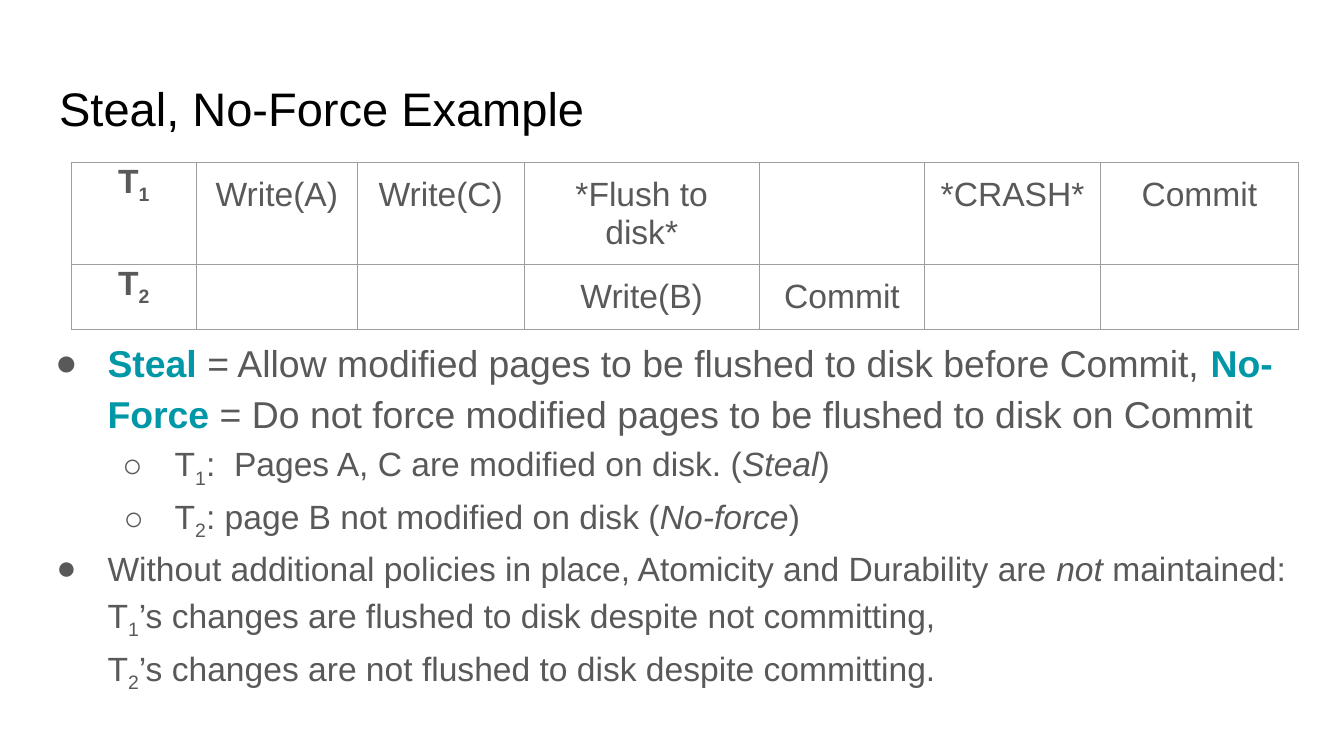
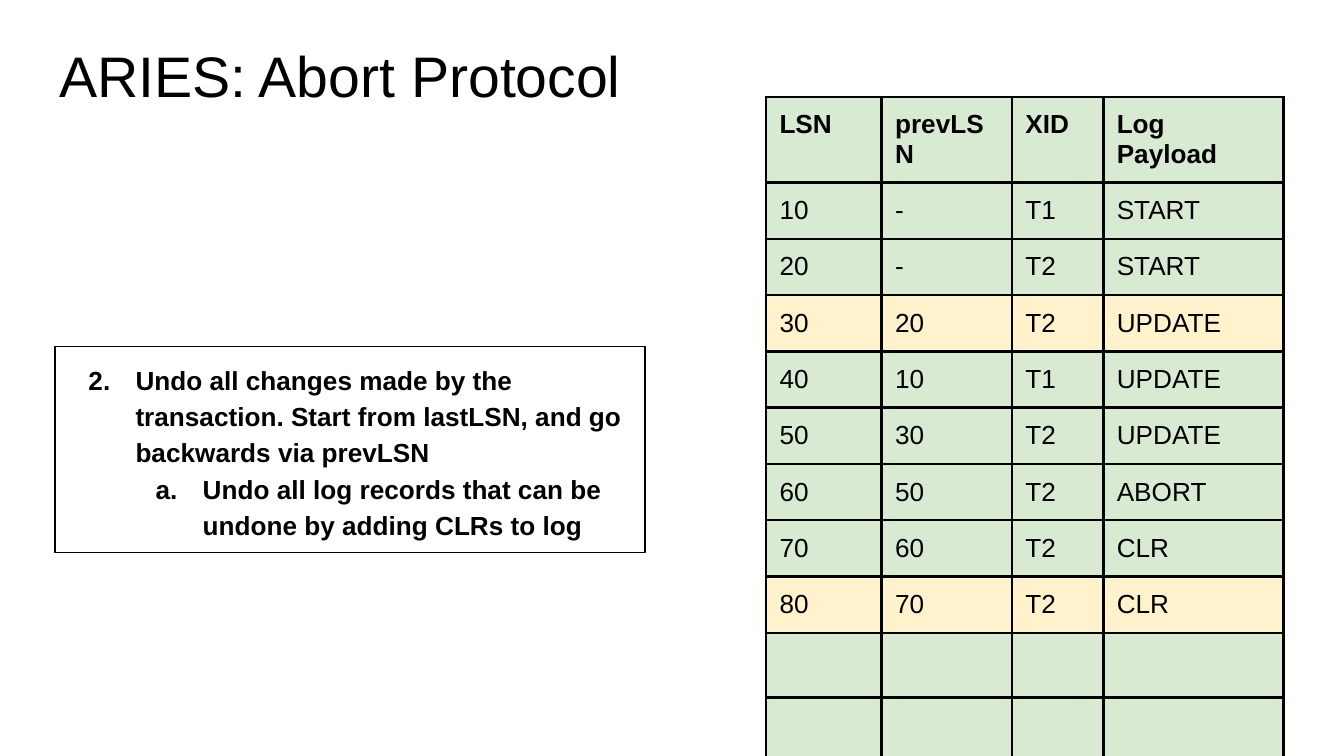
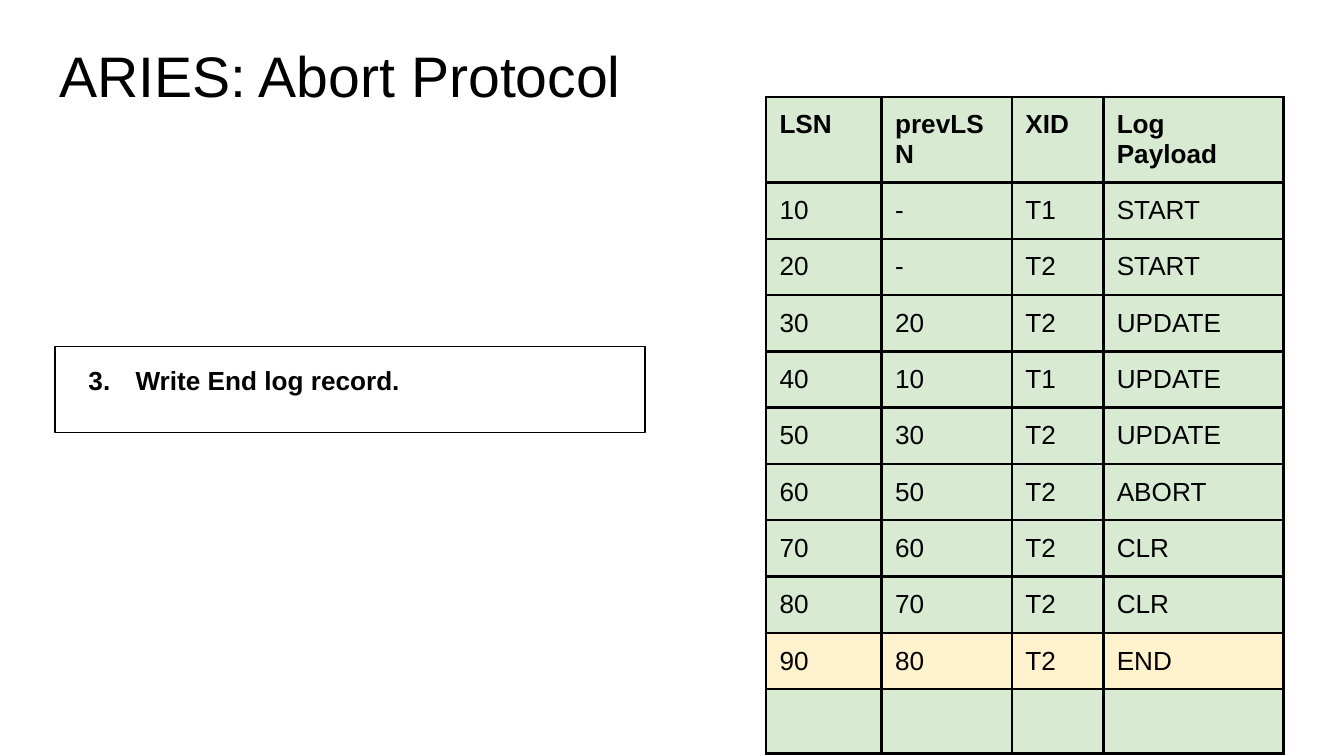
from lxml.etree import SubElement
from pptx import Presentation
from pptx.dml.color import RGBColor
from pptx.enum.shapes import MSO_SHAPE
from pptx.enum.text import MSO_ANCHOR, MSO_AUTO_SIZE, PP_ALIGN
from pptx.oxml.ns import qn
from pptx.util import Inches, Pt

FONT = "Arial"
BLACK, GRAY, TEAL = "000000", "595959", "0097A7"
GREEN, YELLOW, BORDER_GRAY = "D9EAD3", "FFF2CC", "9E9E9E"

PLAIN = {}
BOLD = {"bold": True}
ITALIC = {"italic": True}
SUBSCRIPT = {"baseline": -25000}
KEYWORD = {"bold": True, "color": TEAL}


def write_runs(paragraph, runs, size, color):
    """Add (text, format) runs; a "\\n" text becomes a line break."""
    for text, run_format in runs:
        if text == "\n":
            paragraph.add_line_break()
            SubElement(paragraph._p[-1], qn("a:rPr"), sz=str(size * 100))
            continue
        run = paragraph.add_run()
        run.text = text
        values = {"name": FONT, "size": Pt(size), "color": color, **run_format}
        for name, value in values.items():
            if name == "color":
                run.font.color.rgb = RGBColor.from_string(value)
            elif name == "baseline":
                run._r.get_or_add_rPr().set("baseline", str(value))
            else:
                setattr(run.font, name, value)


def format_list_item(paragraph, level, hanging, color, bullet, attributes):
    paragraph.level = level
    paragraph.alignment = PP_ALIGN.LEFT
    paragraph.line_spacing = 1.15
    paragraph.space_before = Pt(0)
    properties = paragraph._p.get_or_add_pPr()
    properties.set("marL", str(Inches(0.5 * (level + 1))))
    properties.set("indent", str(-Inches(hanging)))
    bullet_color = SubElement(properties, qn("a:buClr"))
    SubElement(bullet_color, qn("a:srgbClr"), val=color)
    SubElement(properties, qn("a:buFont"), typeface=FONT)
    SubElement(properties, qn(bullet), attributes)


DISC = ("a:buChar", {"char": "●"})
CIRCLE = ("a:buChar", {"char": "○"})
LETTER = ("a:buAutoNum", {"type": "alphaLcPeriod"})
STEP_2, STEP_3 = [
    ("a:buAutoNum", {"type": "arabicPeriod", "startAt": str(number)}) for number in (2, 3)
]

# List items: level, hanging indent, bullet, text size, runs
policy_items = [
    (0, 0.39, DISC, 20, [
        ("Steal", KEYWORD),
        (" = Allow modified pages to be flushed to disk before Commit, ", PLAIN),
        ("No-Force", KEYWORD),
        (" = Do not force modified pages to be flushed to disk on Commit", PLAIN)]),
    (1, 0.39, CIRCLE, 18, [
        ("T", PLAIN), ("1", SUBSCRIPT), (":  Pages A, C are modified on disk. (", PLAIN),
        ("Steal", ITALIC), (")", PLAIN)]),
    (1, 0.38, CIRCLE, 18, [
        ("T", PLAIN), ("2", SUBSCRIPT), (": page B not modified on disk (", PLAIN),
        ("No-force", ITALIC), (")", PLAIN)]),
    (0, 0.38, DISC, 18, [
        ("Without additional policies in place, Atomicity and Durability are ", PLAIN),
        ("not", ITALIC), (" maintained: T", PLAIN), ("1", SUBSCRIPT),
        ("’s changes are flushed to disk despite not committing, ", PLAIN), ("\n", PLAIN),
        ("T", PLAIN), ("2", SUBSCRIPT),
        ("’s changes are not flushed to disk despite committing.", PLAIN)]),
]
undo_items = [
    (0, 0.35, STEP_2, 14, [
        ("Undo all changes made by the transaction. Start from lastLSN, "
         "and go backwards via prevLSN", BOLD)]),
    (1, 0.35, LETTER, 14, [
        ("Undo all log records that can be undone by adding CLRs to log", BOLD)]),
]
end_items = [(0, 0.35, STEP_3, 14, [("Write End log record.", BOLD)])]

schedule_rows = [
    ["T1", "Write(A)", "Write(C)", "*Flush to disk*", "", "*CRASH*", "Commit"],
    ["T2", "", "", "Write(B)", "Commit", "", ""],
]
log_rows = [
    ["LSN", "prevLSN", "XID", "Log Payload"],
    ["10", "-", "T1", "START"],
    ["20", "-", "T2", "START"],
    ["30", "20", "T2", "UPDATE"],
    ["40", "10", "T1", "UPDATE"],
    ["50", "30", "T2", "UPDATE"],
    ["60", "50", "T2", "ABORT"],
    ["70", "60", "T2", "CLR"],
    ["80", "70", "T2", "CLR"],
]
end_row = ["90", "80", "T2", "END"]
empty_row = [""] * 4

schedule_style = {
    "left": 0.53, "top": 1.21, "columns": [0.93, 1.2, 1.24, 1.75, 1.23, 1.31, 1.47],
    "row_height": 0.43, "border": BORDER_GRAY, "border_width": 0.75,
    "size": 18, "color": GRAY, "align": PP_ALIGN.CENTER,
}
log_style = {
    "left": 5.7, "top": 0.72, "columns": [0.86, 0.97, 0.68, 1.34],
    "row_height": 0.33, "border": BLACK, "border_width": 1.5,
    "size": 14, "color": BLACK, "align": PP_ALIGN.LEFT,
}
example_title = ("Steal, No-Force Example", 25.2, (0.34, 0.49, 9.32, 0.63))
abort_title = ("ARIES: Abort Protocol", 30.6, (0.34, 0.2, 5.36, 0.64))

# Slides: title, list items, list box, table style, table rows, highlighted LSNs
slides = [
    (example_title, policy_items, (0.2, 2.38, 9.79, 2.95), schedule_style, schedule_rows, []),
    (abort_title, undo_items, (0.41, 2.58, 4.39, 1.53), log_style,
     log_rows + [empty_row, empty_row], ["30", "80"]),
    (abort_title, end_items, (0.41, 2.58, 4.39, 0.64), log_style,
     log_rows + [end_row, empty_row], ["90"]),
]

presentation = Presentation()
presentation.slide_width = Inches(10)
presentation.slide_height = Inches(10) * 9 // 16
TITLE_AND_BODY, TITLE_ONLY = presentation.slide_layouts[1], presentation.slide_layouts[5]

for title_text, items, list_box, style, rows, highlighted in slides:
    is_log = style is log_style
    slide = presentation.slides.add_slide(TITLE_ONLY if is_log else TITLE_AND_BODY)
    text, title_size, title_box = title_text
    title = slide.shapes.title

    if is_log:
        list_shape = slide.shapes.add_shape(MSO_SHAPE.RECTANGLE, *map(Inches, list_box))
        list_shape.shadow.inherit = False
        list_shape.fill.background()
        list_shape.line.color.rgb = RGBColor.from_string(BLACK)
        list_shape.line.width = Pt(0.75)
    else:
        list_shape = slide.placeholders[1]

    for shape, box in ((title, title_box), (list_shape, list_box)):
        shape.left, shape.top, shape.width, shape.height = map(Inches, box)
        frame_format = {
            "word_wrap": True, "auto_size": MSO_AUTO_SIZE.NONE,
            "vertical_anchor": MSO_ANCHOR.TOP,
            "margin_left": Inches(0.1), "margin_right": Inches(0.1),
            "margin_top": Inches(0.1), "margin_bottom": Inches(0.1),
        }
        for name, value in frame_format.items():
            setattr(shape.text_frame, name, value)

    title_paragraph = title.text_frame.paragraphs[0]
    title_paragraph.alignment = PP_ALIGN.LEFT
    write_runs(title_paragraph, [(text, PLAIN)], title_size, BLACK)

    for index, (level, hanging, bullet, size, runs) in enumerate(items):
        frame = list_shape.text_frame
        paragraph = frame.add_paragraph() if index else frame.paragraphs[0]
        format_list_item(paragraph, level, hanging, style["color"], *bullet)
        write_runs(paragraph, runs, size, style["color"])

    table = slide.shapes.add_table(
        len(rows), len(style["columns"]), Inches(style["left"]), Inches(style["top"]),
        Inches(sum(style["columns"])), Inches(style["row_height"] * len(rows))).table
    table.first_row = table.horz_banding = False
    for column, width in zip(table.columns, style["columns"]):
        column.width = Inches(width)

    for row_index, values in enumerate(rows):
        table.rows[row_index].height = Inches(style["row_height"])
        for column_index, value in enumerate(values):
            cell = table.cell(row_index, column_index)
            is_transaction = not is_log and column_index == 0
            cell.margin_left = cell.margin_right = cell.margin_bottom = Inches(0.1)
            cell.margin_top = Inches(0 if is_transaction else 0.1)
            for side in ("a:lnL", "a:lnR", "a:lnT", "a:lnB"):
                border = SubElement(cell._tc.get_or_add_tcPr(), qn(side),
                                    w=str(Pt(style["border_width"])))
                border_fill = SubElement(border, qn("a:solidFill"))
                SubElement(border_fill, qn("a:srgbClr"), val=style["border"])
            if is_log:
                cell.fill.solid()
                fill_color = YELLOW if values[0] in highlighted else GREEN
                cell.fill.fore_color.rgb = RGBColor.from_string(fill_color)
            else:
                cell.fill.background()
            paragraph = cell.text_frame.paragraphs[0]
            if not value:
                empty_format = SubElement(paragraph._p, qn("a:endParaRPr"), sz="1800")
                SubElement(empty_format, qn("a:latin"), typeface=FONT)
                continue
            if is_transaction:
                runs = [(value[0], BOLD), (value[1], {**BOLD, **SUBSCRIPT})]
            else:
                runs = [(value, {"bold": is_log and row_index == 0})]
            paragraph.alignment = style["align"]
            write_runs(paragraph, runs, style["size"], style["color"])

presentation.save("out.pptx")
